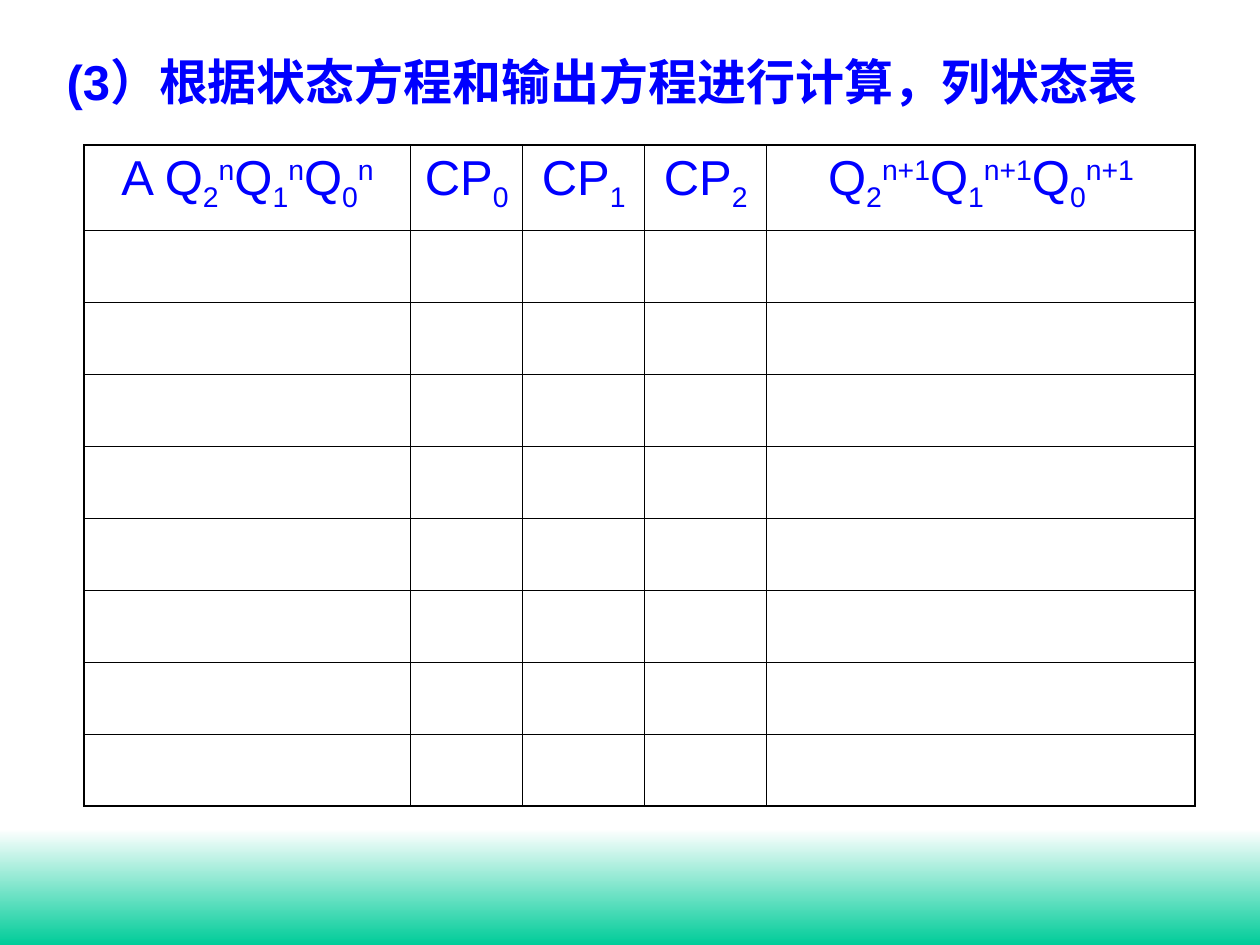
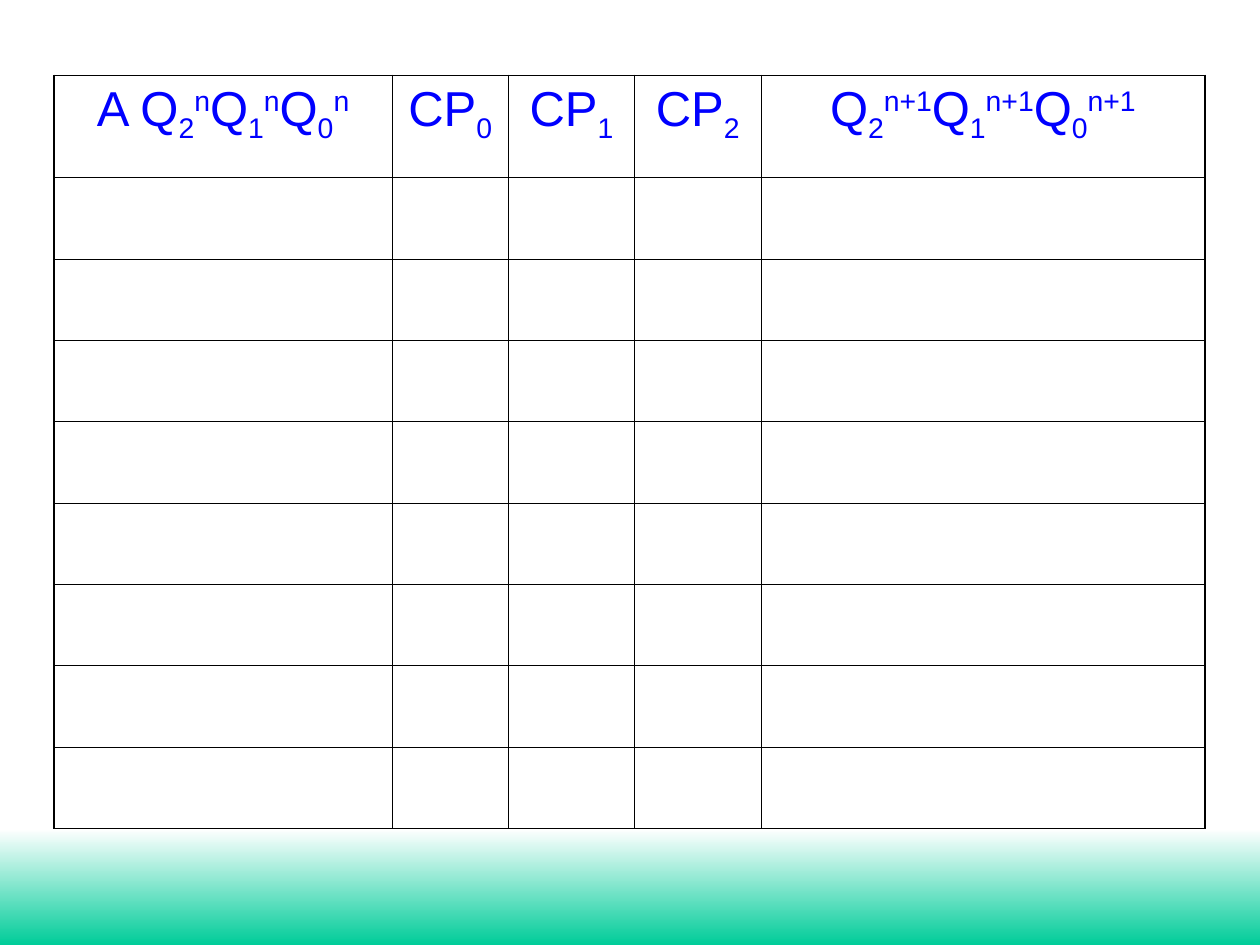
"""Builds two slides with blank state tables for a sequential circuit."""
from lxml.etree import SubElement
from pptx import Presentation
from pptx.dml.color import RGBColor
from pptx.enum.shapes import MSO_SHAPE
from pptx.enum.text import MSO_ANCHOR, MSO_AUTO_SIZE, PP_ALIGN
from pptx.oxml.ns import qn
from pptx.util import Cm, Pt

BLUE = RGBColor(0x00, 0x00, 0xFF)
GREEN = RGBColor(0x00, 0xCC, 0x99)
WHITE = RGBColor(0xFF, 0xFF, 0xFF)
BLACK = RGBColor(0x00, 0x00, 0x00)

TITLE_ONLY, BLANK = 5, 6
BASELINES = {"_": "-25000", "^": "30000"}
THIN, THICK = Pt(0.45), Pt(1.08)
STATE_ROWS = 8
COLUMN_WIDTHS = [6.58, 2.26, 2.46, 2.46, 8.64]
HEADINGS = [
    "A Q|_2|^n|Q|_1|^n|Q|_0|^n",
    "CP|_0",
    "CP|_1",
    "CP|_2",
    "Q|_2|^n+1|Q|_1|^n+1|Q|_0|^n+1",
]


def write(text_frame, text, size=28, bold=False, color=BLUE, font="Arial",
          align=PP_ALIGN.CENTER):
    """Write runs parted by "|", where "_" lowers a run and "^" raises it."""
    paragraph = text_frame.paragraphs[0]
    paragraph.alignment = align
    for part in text.split("|"):
        run = paragraph.add_run()
        run.text = part.lstrip("_^")
        run.font.size = Pt(size)
        run.font.bold = bold
        run.font.name = font
        run.font.color.rgb = color
        if part[0] in BASELINES:
            run._r.get_or_add_rPr().set("baseline", BASELINES[part[0]])


def add_border(cell, side, width):
    line = SubElement(cell._tc.get_or_add_tcPr(), qn(f"a:ln{side}"), w=str(width))
    fill = SubElement(line, qn("a:solidFill"))
    SubElement(fill, qn("a:srgbClr"), val=str(BLACK))


class Deck:
    """Holds the presentation style and the current slide."""

    def __init__(self):
        self.presentation = Presentation()
        self.presentation.slide_width = Cm(25.4)
        self.presentation.slide_height = Cm(19.05)
        self.slide = None

    def add_slide(self, layout):
        self.slide = self.presentation.slides.add_slide(
            self.presentation.slide_layouts[layout])
        self.add_band()

    def add_band(self):
        top = Cm(16.71)
        band = self.slide.shapes.add_shape(
            MSO_SHAPE.RECTANGLE, 0, top, self.presentation.slide_width,
            self.presentation.slide_height - top)
        band.shadow.inherit = False
        band.line.fill.background()
        band.fill.gradient()
        band.fill.gradient_angle = 270
        for stop, color in zip(band.fill.gradient_stops, (WHITE, GREEN)):
            stop.color.rgb = color

    def add_title(self, text):
        title = self.slide.shapes.title
        title.left, title.top = Cm(1.09), Cm(0.91)
        title.width, title.height = Cm(23.39), Cm(15.8)
        title.text_frame.vertical_anchor = MSO_ANCHOR.TOP
        title.text_frame.auto_size = MSO_AUTO_SIZE.NONE
        write(title.text_frame, text, bold=True, align=PP_ALIGN.JUSTIFY)

    def add_state_table(self, left, top, width, header_height, row_height):
        heights = [header_height] + [row_height] * STATE_ROWS
        table = self.slide.shapes.add_table(
            len(heights), len(HEADINGS), Cm(left), Cm(top), Cm(width),
            Cm(sum(heights))).table
        table.first_row = table.horz_banding = False
        scale = width / sum(COLUMN_WIDTHS)
        for column, column_width in zip(table.columns, COLUMN_WIDTHS):
            column.width = Cm(column_width * scale)
        for row, height in zip(table.rows, heights):
            row.height = Cm(height)
        for cell, heading in zip(table.rows[0].cells, HEADINGS):
            write(cell.text_frame, heading)
        self.format_cells(table)

    def format_cells(self, table):
        last_row, last_column = len(table.rows) - 1, len(table.columns) - 1
        for row_index, row in enumerate(table.rows):
            for column_index, cell in enumerate(row.cells):
                outer_sides = {
                    "L": column_index == 0,
                    "R": column_index == last_column,
                    "T": row_index == 0,
                    "B": row_index == last_row,
                }
                for side, is_outer in outer_sides.items():
                    add_border(cell, side, THICK if is_outer else THIN)
                cell.fill.background()


def main():
    deck = Deck()
    deck.add_slide(TITLE_ONLY)
    deck.add_title("(3）根据状态方程和输出方程进行计算，列状态表")
    deck.add_state_table(1.7, 2.92, 22.4, header_height=1.73, row_height=1.45)

    deck.add_slide(BLANK)
    deck.add_state_table(1.09, 1.52, 23.2, header_height=2.06, row_height=1.64)

    deck.presentation.save("out.pptx")


if __name__ == "__main__":
    main()
